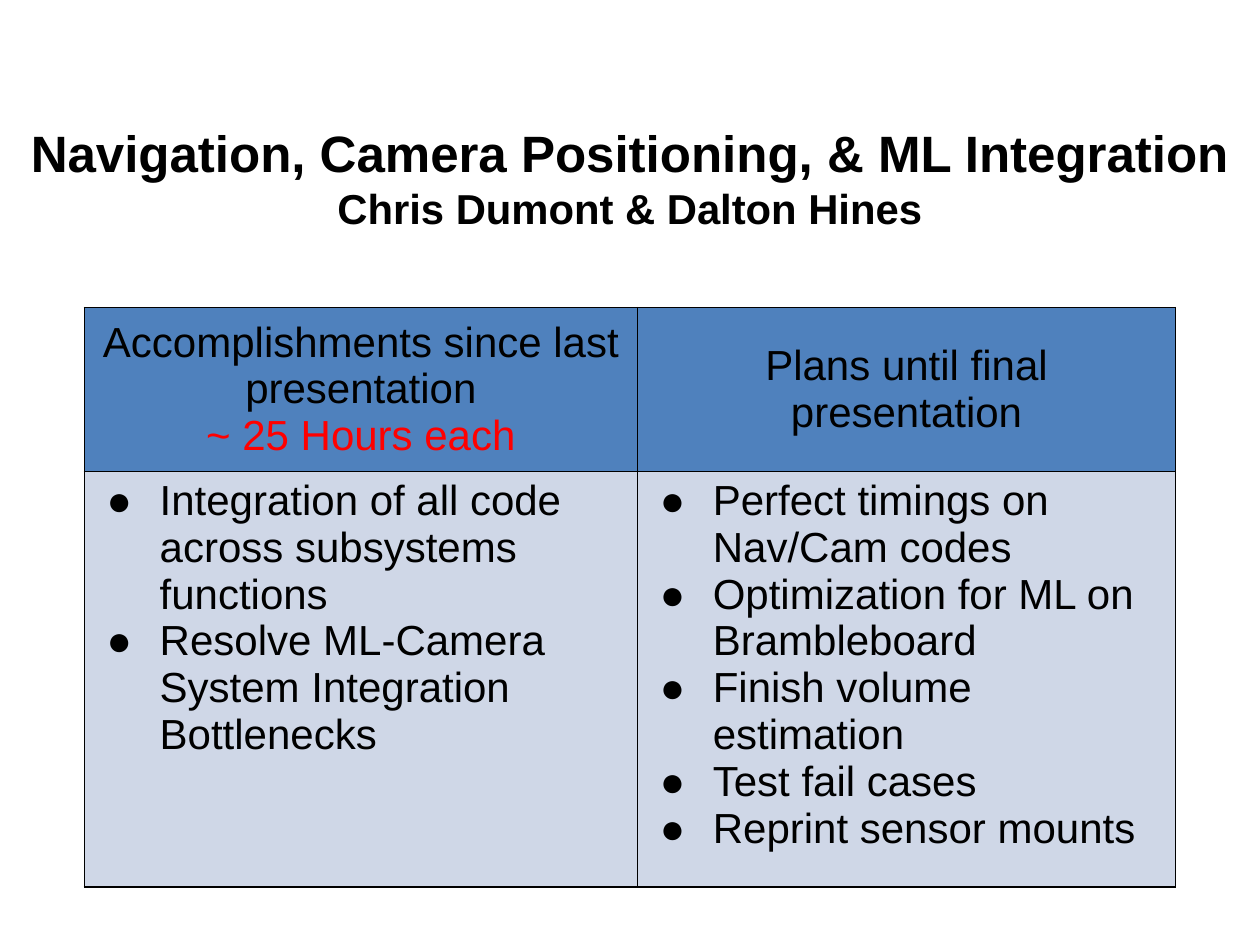
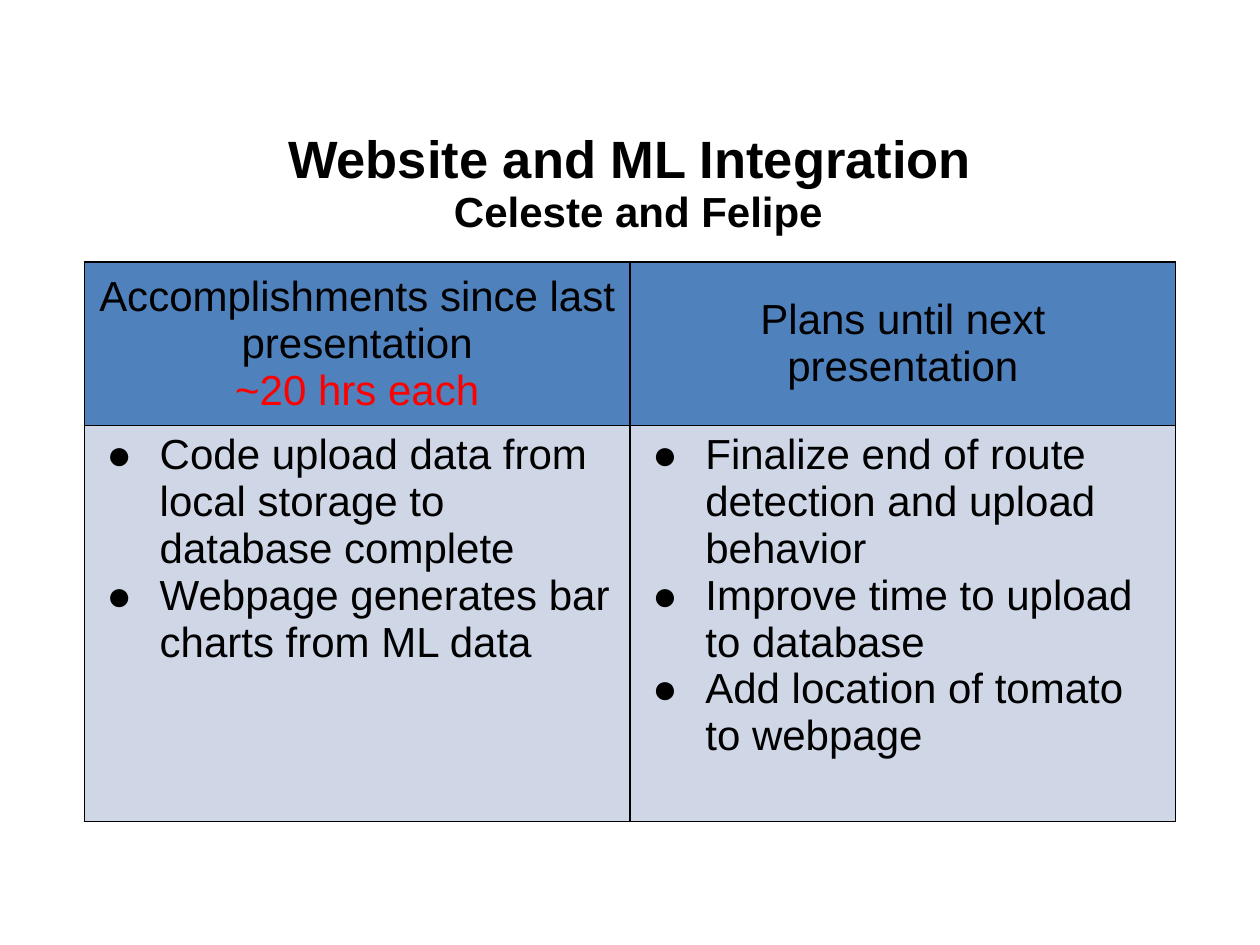
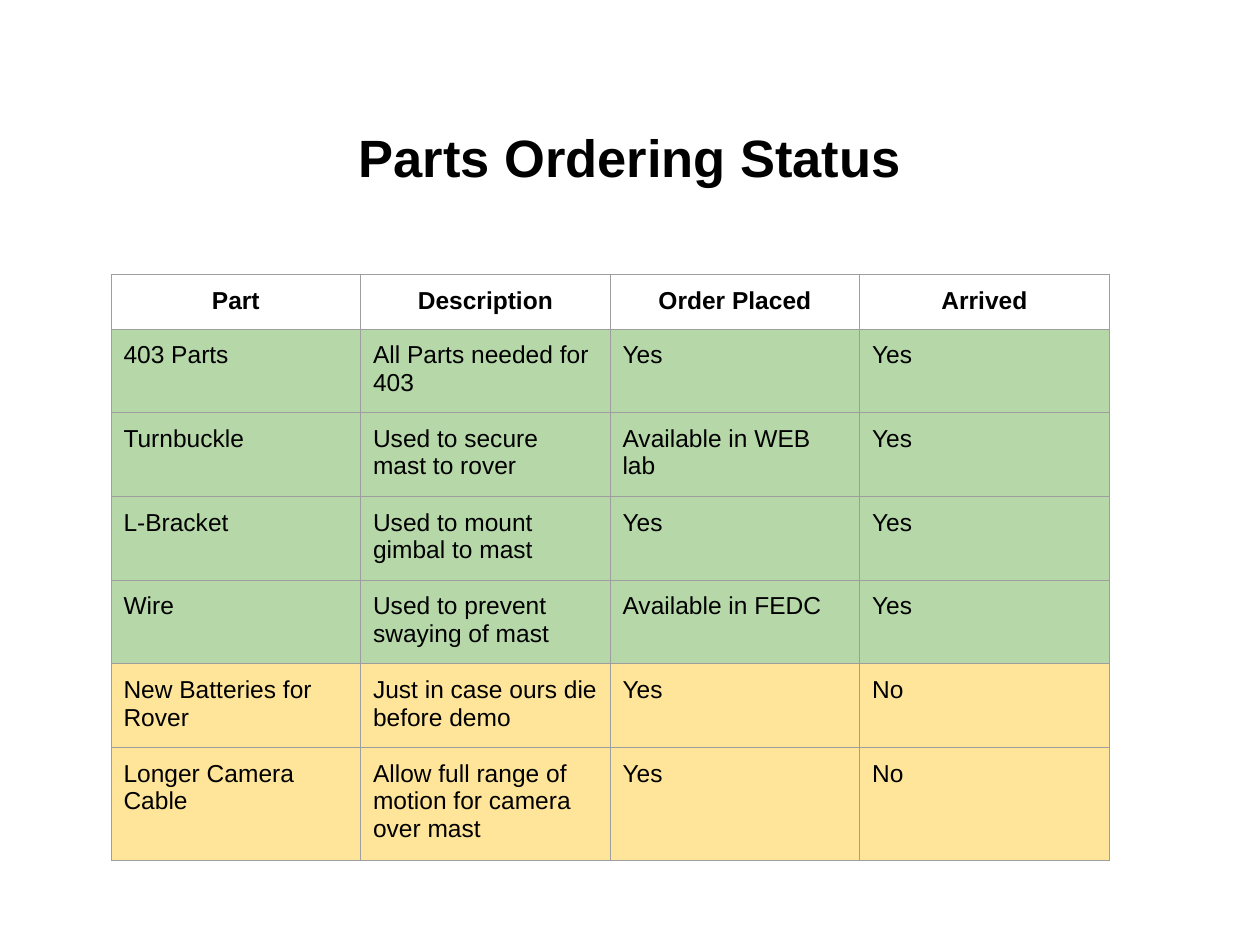
"""Build three project status slides: two progress tables and a parts list."""
from lxml import etree
from pptx import Presentation
from pptx.dml.color import RGBColor
from pptx.enum import text as t
from pptx.oxml import ns
from pptx.util import Cm, Pt

BLACK = RGBColor(0x00, 0x00, 0x00)
RED = RGBColor(0xFF, 0x00, 0x00)
HEAD_BLUE = RGBColor(0x4F, 0x81, 0xBD)
BODY_BLUE = RGBColor(0xCF, 0xD7, 0xE7)
GREEN = RGBColor(0xB6, 0xD7, 0xA8)
YELLOW = RGBColor(0xFF, 0xE5, 0x99)
GREY = RGBColor(0x9E, 0x9E, 0x9E)
FONT = "Arial"
CENTER, LEFT = t.PP_ALIGN.CENTER, t.PP_ALIGN.LEFT
MIDDLE, TOP = t.MSO_ANCHOR.MIDDLE, t.MSO_ANCHOR.TOP
PAD = 0.25
ROW_FILL = {"Yes": GREEN, "No": YELLOW}

PROGRESS = [
    {
        "titles": [
            (["Navigation, Camera Positioning, & ML Integration",
              "Chris Dumont & Dalton Hines"], [29.2, 23.9], (0, 2.46, 25.4, 2.24)),
        ],
        "top": 6.2, "cols": [11.15, 10.85], "rows": [3.3, 8.38],
        "heads": [["Accomplishments since last presentation", "~ 25 Hours each"],
                  ["Plans until final presentation"]],
        "items": [
            ["Integration of all code across subsystems functions",
             "Resolve ML-Camera System Integration Bottlenecks"],
            ["Perfect timings on Nav/Cam codes",
             "Optimization for ML on Brambleboard",
             "Finish volume estimation",
             "Test fail cases",
             "Reprint sensor mounts"],
        ],
    },
    {
        "titles": [
            (["Website and ML Integration"], [30], (1.27, 2.06, 22.86, 2.24)),
            (["Celeste and Felipe"], [24], (8.74, 3.48, 8.26, 1.55)),
        ],
        "top": 5.28, "cols": [11, 11], "rows": [3.08, 7.98],
        "heads": [["Accomplishments since last presentation", "~20 hrs each"],
                  ["Plans until next presentation"]],
        "items": [
            ["Code upload data from local storage to database complete",
             "Webpage generates bar charts from ML data"],
            ["Finalize end of route detection and upload behavior",
             "Improve time to upload to database",
             "Add location of tomato to webpage"],
        ],
    },
]

PARTS_TITLE = (["Parts Ordering Status"], [30], (1.27, 2.03, 22.86, 2.24))
PARTS = [
    ("Part", "Description", "Order Placed", "Arrived"),
    ("403 Parts", "All Parts needed for 403", "Yes", "Yes"),
    ("Turnbuckle", "Used to secure mast to rover", "Available in WEB lab", "Yes"),
    ("L-Bracket", "Used to mount gimbal to mast", "Yes", "Yes"),
    ("Wire", "Used to prevent swaying of mast", "Available in FEDC", "Yes"),
    ("New Batteries for Rover", "Just in case ours die before demo", "Yes", "No"),
    ("Longer Camera Cable", "Allow full range of motion for camera over mast", "Yes", "No"),
]


def write(tf, lines, sizes, align=LEFT, bold=False, colors=(BLACK,)):
    tf.text = "\n".join(lines)
    for i, p in enumerate(tf.paragraphs):
        p.alignment = align
        for r in p.runs:
            r.font.name = FONT
            r.font.size = Pt(sizes[min(i, len(sizes) - 1)])
            r.font.bold = bold
            r.font.color.rgb = colors[min(i, len(colors) - 1)]


def add_title(s, lines, sizes, box):
    tf = s.shapes.add_textbox(*map(Cm, box)).text_frame
    tf.word_wrap = True
    tf.vertical_anchor = MIDDLE
    write(tf, lines, sizes, CENTER, True)


def add_bullet(p):
    pPr = p._p.get_or_add_pPr()
    pPr.set("marL", str(Cm(1.27)))
    pPr.set("indent", str(-Cm(1.07)))
    color = etree.SubElement(pPr, ns.qn("a:buClr"))
    etree.SubElement(color, ns.qn("a:srgbClr"), val=str(BLACK))
    etree.SubElement(pPr, ns.qn("a:buFont"), typeface=FONT)
    etree.SubElement(pPr, ns.qn("a:buChar"), char="●")


def style_cell(cell, fill, border, width, anchor, pad):
    tcPr = cell._tc.get_or_add_tcPr()
    for side in "LRTB":
        ln = etree.SubElement(tcPr, ns.qn("a:ln" + side), w=str(Pt(width)))
        solid = etree.SubElement(ln, ns.qn("a:solidFill"))
        etree.SubElement(solid, ns.qn("a:srgbClr"), val=str(border))
    if fill is None:
        cell.fill.background()
    else:
        cell.fill.solid()
        cell.fill.fore_color.rgb = fill
    cell.vertical_anchor = anchor
    cell.margin_left = cell.margin_right = Cm(PAD)
    cell.margin_top = cell.margin_bottom = Cm(pad)


def add_grid(s, left, top, cols, rows):
    frame = s.shapes.add_table(len(rows), len(cols), Cm(left), Cm(top),
                               Cm(sum(cols)), Cm(sum(rows)))
    table = frame.table
    table.first_row = table.horz_banding = False
    for col, width in zip(table.columns, cols):
        col.width = Cm(width)
    for row, height in zip(table.rows, rows):
        row.height = Cm(height)
    return table


def add_progress(s, top, cols, rows, heads, items):
    table = add_grid(s, 1.7, top, cols, rows)
    for c, (head, points) in enumerate(zip(heads, items)):
        cell = table.cell(0, c)
        style_cell(cell, HEAD_BLUE, BLACK, 1, MIDDLE, PAD / 2)
        write(cell.text_frame, head, [24], CENTER, colors=(BLACK, RED))
        cell = table.cell(1, c)
        style_cell(cell, BODY_BLUE, BLACK, 1, TOP, PAD / 2)
        write(cell.text_frame, points, [24])
        for p in cell.text_frame.paragraphs:
            add_bullet(p)


def add_parts(s):
    table = add_grid(s, 2.24, 5.54, [5.03] * len(PARTS[0]), [1.05] * len(PARTS))
    for i, row in enumerate(PARTS):
        for c, value in enumerate(row):
            cell = table.cell(i, c)
            style_cell(cell, ROW_FILL.get(row[-1]), GREY, 0.75, TOP, PAD)
            write(cell.text_frame, [value], [14], LEFT if i else CENTER, i == 0)


prs = Presentation()
prs.slide_width, prs.slide_height = Cm(25.4), Cm(19.05)
blank = prs.slide_layouts[6]
for page in PROGRESS:
    s = prs.slides.add_slide(blank)
    for title in page["titles"]:
        add_title(s, *title)
    add_progress(s, page["top"], page["cols"], page["rows"], page["heads"], page["items"])
s = prs.slides.add_slide(blank)
add_title(s, *PARTS_TITLE)
add_parts(s)
prs.save("out.pptx")
